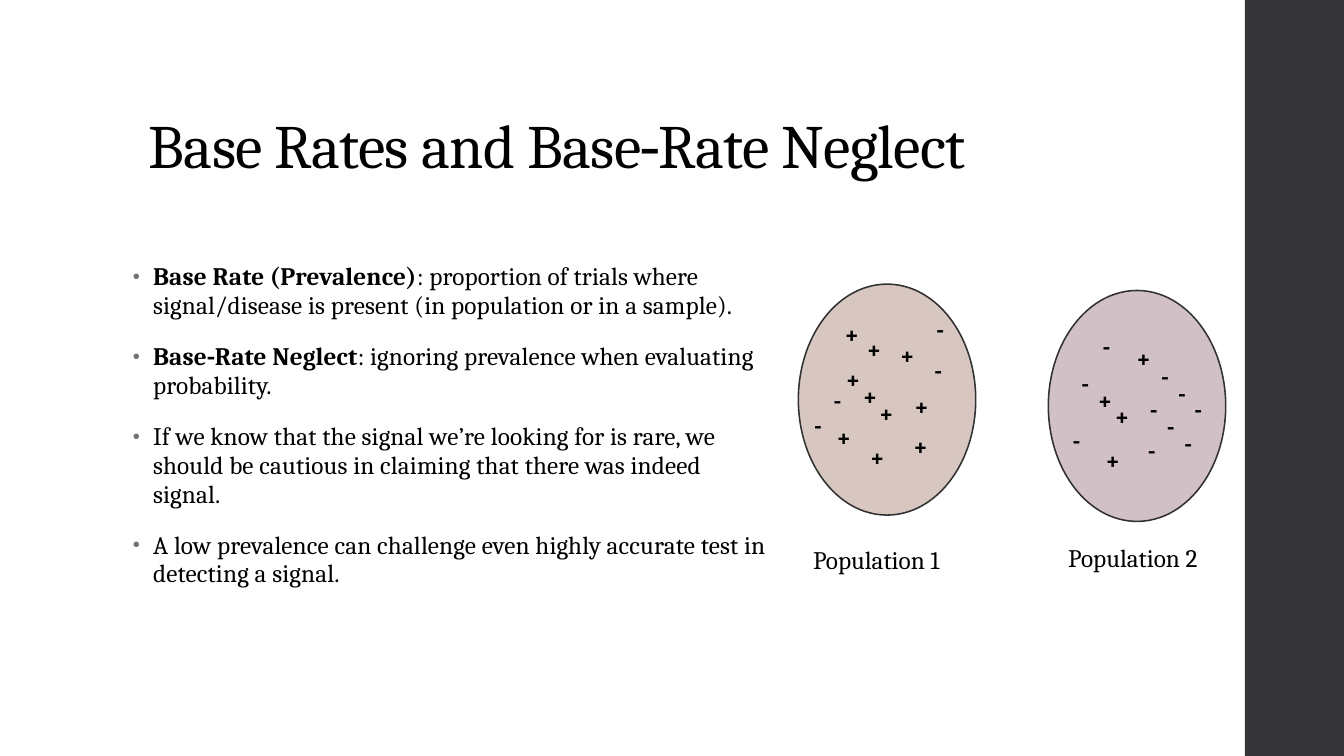
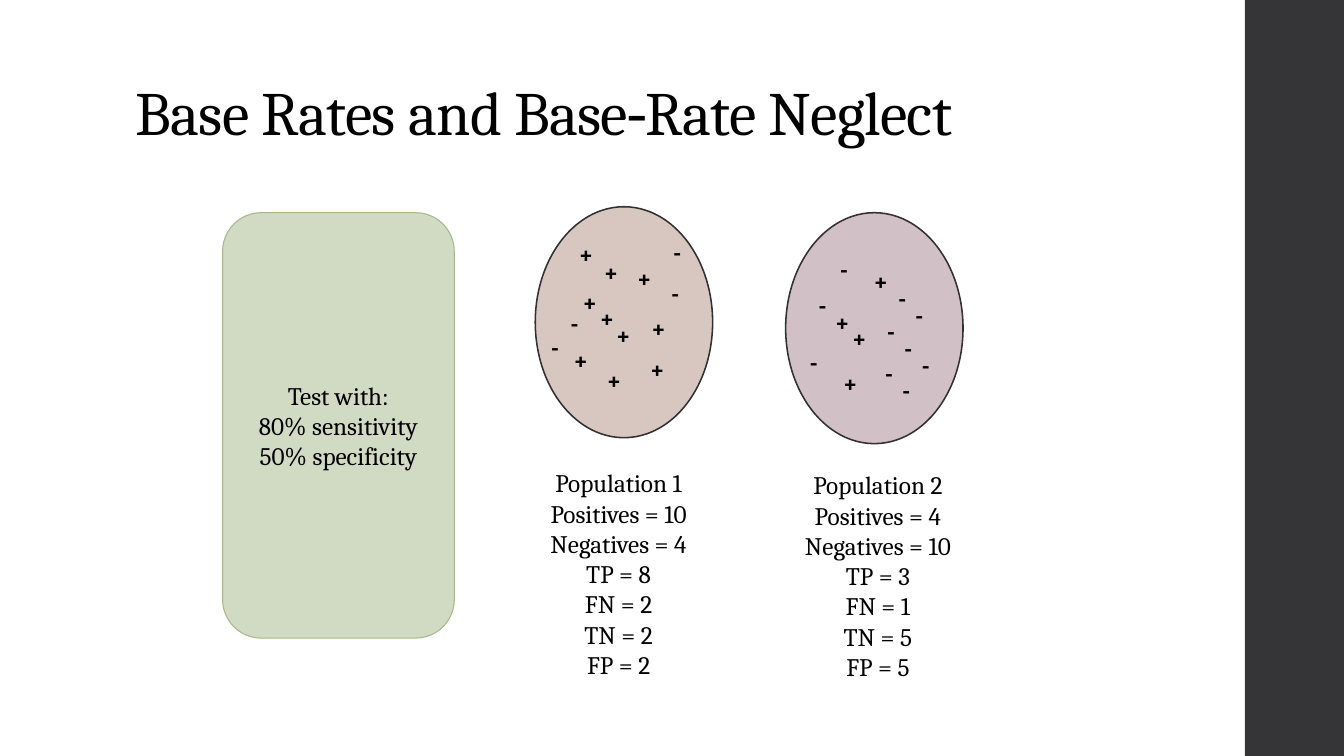
from lxml.etree import SubElement
from pptx import Presentation
from pptx.dml.color import RGBColor
from pptx.enum.shapes import MSO_SHAPE
from pptx.enum.text import MSO_ANCHOR, MSO_AUTO_SIZE, PP_ALIGN
from pptx.oxml.ns import qn
from pptx.util import Cm, Pt

COLORS = {
    "text": "000000", "band": "353537", "bullet": "6F6F74", "outline": "313133",
    "pop1": "D7C7C0", "pop2": "D2C0C7", "test": "D1DAC2", "test_line": "A7B789",
}
SLIDE_W, SLIDE_H, BAND_X = 33.87, 19.05, 31.37
OVAL_W, OVAL_H = 4.47, 5.82
SIGN_W = {"+": 0.89, "-": 0.74}
TITLE = "Base Rates and Base‑Rate Neglect"

FONTS = {
    "title": {"name": "Cambria", "size": Pt(44)},
    "text": {"name": "Cambria", "size": Pt(18)},
    "strong": {"name": "Cambria", "size": Pt(18), "bold": True},
}
TITLE_PARAGRAPH = {"line_spacing": 0.9}
BULLET_PARAGRAPH = {"line_spacing": 0.95, "space_before": Pt(14), "space_after": Pt(2)}
CENTERED = {"alignment": PP_ALIGN.CENTER}
FREE_FRAME = {"word_wrap": False, "auto_size": MSO_AUTO_SIZE.SHAPE_TO_FIT_TEXT}

# Sign positions in cm from the top left of each oval
SIGNS = {
    "pop1": {
        "+": [(0.94, 1.88), (1.37, 2.29), (1.78, 2.72), (2.67, 2.54), (2.64, 3.56),
              (1.55, 3.84), (0.71, 3.33), (2.31, 1.27), (1.47, 1.12)],
        "-": [(0.15, 3.02), (0.64, 2.41), (3.23, 0.61), (3.18, 1.65)],
    },
    "pop2": {
        "+": [(0.99, 2.24), (1.42, 2.64), (1.19, 3.76), (1.96, 1.19)],
        "-": [(0.58, 1.8), (2.31, 2.46), (2.26, 3.51), (0.36, 3.25), (2.74, 2.9),
              (2.59, 1.63), (3.18, 3.33), (1.12, 0.89), (3.02, 2.06)],
    },
}
BULLETS = [
    ("Base Rate (Prevalence)",
     ": proportion of trials where signal/disease is present (in population or in a sample)."),
    ("Base‑Rate Neglect", ": ignoring prevalence when evaluating probability."),
    ("", "If we know that the signal we’re looking for is rare, we should be cautious "
         "in claiming that there was indeed signal."),
    ("", "A low prevalence can challenge even highly accurate test in detecting a signal."),
]


def rgb(color):
    return RGBColor.from_string(COLORS[color])


def apply(target, values):
    for name, value in values.items():
        setattr(target, name, value)


def add_run(p, text, font="text", spacing=0):
    r = p.add_run()
    r.text = text
    apply(r.font, FONTS[font])
    r.font.color.rgb = rgb("text")
    if spacing:
        r.font._element.set("spc", str(spacing))


def add_lines(tf, lines, font="text", spacing=0, **paragraph):
    for i, line in enumerate(lines):
        p = tf.add_paragraph() if i else tf.paragraphs[0]
        apply(p, paragraph)
        add_run(p, line, font, spacing)


def add_frame(s, box, **frame):
    tf = s.shapes.add_textbox(*map(Cm, box)).text_frame
    apply(tf, {"word_wrap": True, **frame})
    return tf


def add_block(s, kind, box, fill, line=None, width=0.75):
    sp = s.shapes.add_shape(kind, *map(Cm, box))
    sp.shadow.inherit = False
    sp.fill.solid()
    sp.fill.fore_color.rgb = rgb(fill)
    if line:
        sp.line.color.rgb = rgb(line)
        sp.line.width = Pt(width)
    else:
        sp.line.fill.background()
    return sp


def add_base(prs, x, y):
    """Blank slide with the side band and the title at x, y."""
    s = prs.slides.add_slide(prs.slide_layouts[6])
    add_block(s, MSO_SHAPE.RECTANGLE, (BAND_X, 0, SLIDE_W - BAND_X, SLIDE_H), "band")
    tf = add_frame(s, (x, y, 26.92, 3.68), vertical_anchor=MSO_ANCHOR.BOTTOM)
    add_lines(tf, [TITLE], "title", -50, **TITLE_PARAGRAPH)
    return s


def add_bullets(s, box):
    tf = add_frame(s, box)
    for i, (term, text) in enumerate(BULLETS):
        p = tf.add_paragraph() if i else tf.paragraphs[0]
        apply(p, BULLET_PARAGRAPH)
        if i == 0:
            p.space_before = Pt(0)
        # Hanging bullet
        pPr = p._p.get_or_add_pPr()
        pPr.set("marL", str(Cm(0.51)))
        pPr.set("indent", str(-Cm(0.51)))
        color = SubElement(pPr, qn("a:buClr"))
        SubElement(color, qn("a:srgbClr"), val=COLORS["bullet"])
        SubElement(pPr, qn("a:buSzPct"), val="80000")
        SubElement(pPr, qn("a:buFont"), typeface="Arial")
        SubElement(pPr, qn("a:buChar"), char="•")
        if term:
            add_run(p, term, "strong", 10)
        add_run(p, text, spacing=10)


def add_population(s, name, x, y, last_sign):
    """Oval at x, y with its signs; last_sign is (sign, dx, dy)."""
    add_block(s, MSO_SHAPE.OVAL, (x, y, OVAL_W, OVAL_H), name, "outline", 1.1)
    signs = [(sign, dx, dy) for sign, spots in SIGNS[name].items() for dx, dy in spots]
    for sign, dx, dy in signs + [last_sign]:
        tf = add_frame(s, (x + dx, y + dy, SIGN_W[sign], 1.02), **FREE_FRAME)
        add_lines(tf, [sign], "strong")


def add_caption(s, box, lines, **paragraph):
    add_lines(add_frame(s, box, **FREE_FRAME), lines, **paragraph)


def add_test_card(s, box):
    sp = add_block(s, MSO_SHAPE.ROUNDED_RECTANGLE, box, "test", "test_line")
    sp.text_frame.vertical_anchor = MSO_ANCHOR.MIDDLE
    add_lines(sp.text_frame, ["Test with:", "80% sensitivity", "50% specificity"], **CENTERED)


def result_lines(population, counts):
    labels = ("Positives", "Negatives", "TP", "FN", "TN", "FP")
    return [population] + [f"{label} = {n}" for label, n in zip(labels, counts)]


def build_definitions(prs):
    s = add_base(prs, 3.5, 1.02)
    add_bullets(s, (3.1, 6.5, 16.61, 10.77))
    add_population(s, "pop2", 26.42, 7.32, ("-", 3.43, 2.46))
    add_population(s, "pop1", 20.12, 7.16, ("+", 0.91, 0.74))
    add_caption(s, (20.24, 13.59, 4.27, 1.02), ["Population 1"])
    add_caption(s, (26.67, 13.54, 4.27, 1.02), ["Population 2"])


def build_test_results(prs):
    s = add_base(prs, 3.17, 0.2)
    add_population(s, "pop2", 19.8, 5.36, ("-", 2.69, 3.94))
    add_population(s, "pop1", 13.49, 5.21, ("+", 0.84, 0.66))
    add_caption(s, (13.28, 11.66, 4.62, 5.64),
                result_lines("Population 1", (10, 4, 8, 2, 2, 2)), **CENTERED)
    add_caption(s, (19.66, 11.71, 4.93, 5.64),
                result_lines("Population 2", (4, 10, 3, 1, 5, 5)), **CENTERED)
    add_test_card(s, (5.61, 5.36, 5.84, 10.72))


def main():
    prs = Presentation()
    prs.slide_width, prs.slide_height = Cm(SLIDE_W), Cm(SLIDE_H)
    build_definitions(prs)
    build_test_results(prs)
    prs.save("out.pptx")


if __name__ == "__main__":
    main()
